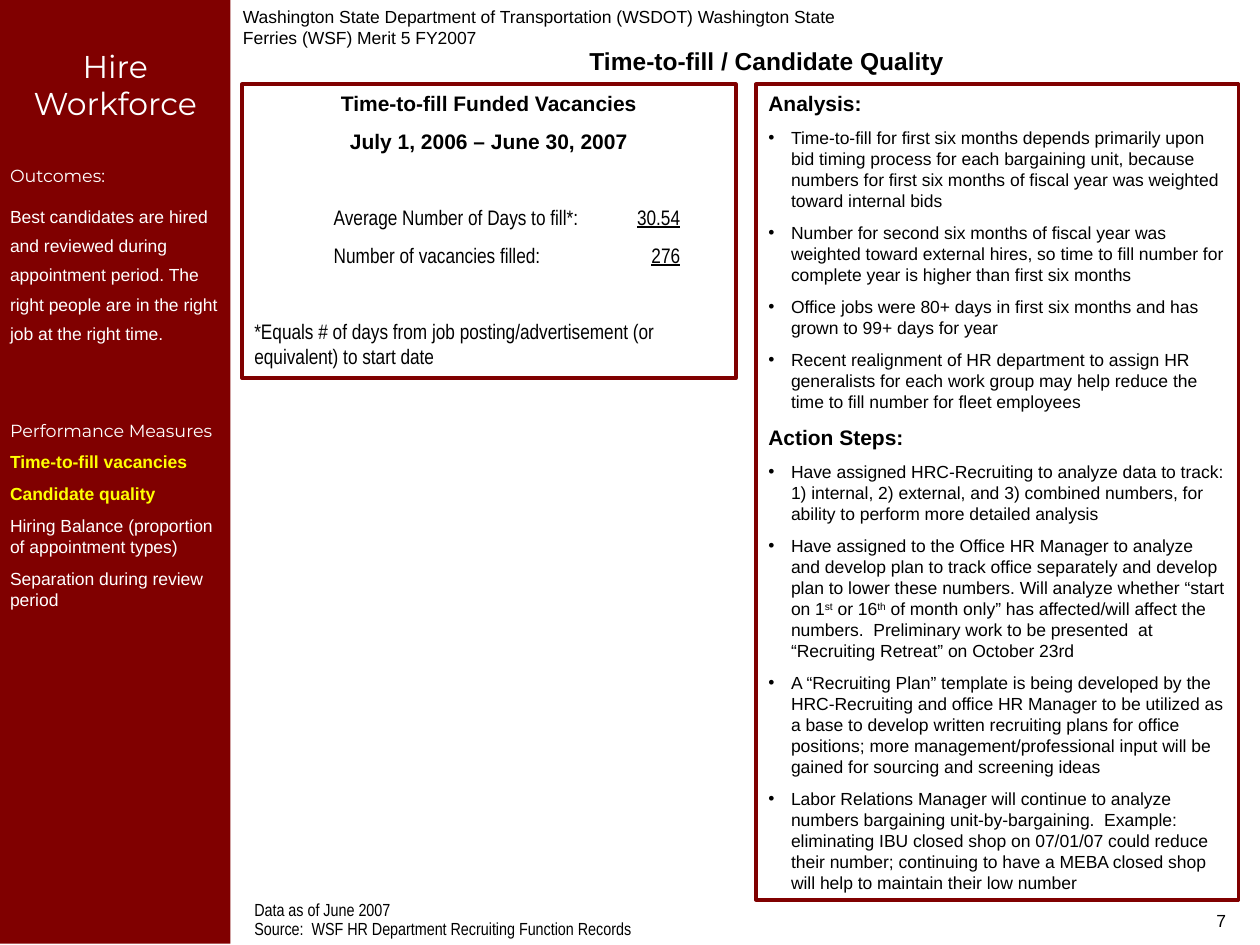
from lxml.etree import SubElement
from pptx import Presentation
from pptx.dml.color import RGBColor
from pptx.enum.shapes import MSO_SHAPE as Shape
from pptx.enum.text import MSO_ANCHOR as Anchor, PP_ALIGN as Align
from pptx.oxml.ns import qn
from pptx.util import Inches, Pt

MAROON, WHITE, YELLOW, BLACK = "800000", "FFFFFF", "FFFF00", "000000"
BODY = dict(name="Arial", size=Pt(10), bold=False)
HEADING = dict(name="Arial", size=Pt(12), bold=True)
NARROW = dict(name="Arial Narrow", size=Pt(12), bold=False)
DISPLAY = dict(name="Montserrat", size=Pt(10), bold=False)

ANALYSIS = [
    ["Time-to-fill for first six months depends primarily upon bid timing process for each "
     "bargaining unit, because numbers for first six months of fiscal year was weighted "
     "toward internal bids"],
    ["Number for second six months of fiscal year was weighted toward external hires, so time "
     "to fill number for complete year is higher than first six months"],
    ["Office jobs were 80+ days in first six months and has grown to 99+ days for year"],
    ["Recent realignment of HR department to assign HR generalists for each work group may "
     "help reduce the time to fill number for fleet employees"],
]
ACTIONS = [
    ["Have assigned HRC-Recruiting to analyze data to track: 1) internal, 2) external, and "
     "3) combined numbers, for ability to perform more detailed analysis"],
    ["Have assigned to the Office HR Manager to analyze and develop plan to track office "
     "separately and develop plan to lower these numbers. Will analyze whether “start on 1",
     "st", " or 16", "th",
     " of month only” has affected/will affect the numbers.  Preliminary work to be "
     "presented  at “Recruiting Retreat” on October 23rd"],
    ["A “Recruiting Plan” template is being developed by the HRC-Recruiting and office HR "
     "Manager to be utilized as a base to develop written recruiting plans for office "
     "positions; more management/professional input will be gained for sourcing and "
     "screening ideas"],
    ["Labor Relations Manager will continue to analyze numbers bargaining "
     "unit-by-bargaining.  Example: eliminating IBU closed shop on 07/01/07 could reduce "
     "their number; continuing to have a MEBA closed shop will help to maintain their low "
     "number"],
]


def rgb(value):
    """Turn a hex string into a colour."""
    return RGBColor.from_string(value)


def set_all(target, values):
    """Set every attribute named in a dict of format values."""
    for name, value in values.items():
        setattr(target, name, value)


def prepare_frame(shape, side=0.1, top=0.05):
    """Wrap the text of a shape from its top and return the text frame."""
    frame = shape.text_frame
    set_all(frame, dict(
        word_wrap=True, vertical_anchor=Anchor.TOP,
        margin_left=Inches(side), margin_right=Inches(side),
        margin_top=Inches(top), margin_bottom=Inches(0.05)))
    return frame


def add_text(page, box):
    """Add a text box and return its text frame."""
    return prepare_frame(page.shapes.add_textbox(*map(Inches, box)))


def add_panel(page, box, fill=None, line=None, **margins):
    """Add a rectangle and return its text frame."""
    shape = page.shapes.add_shape(Shape.RECTANGLE, *map(Inches, box))
    shape.shadow.inherit = False
    if fill:
        shape.fill.solid()
        shape.fill.fore_color.rgb = rgb(fill)
    else:
        shape.fill.background()
    if line:
        shape.line.color.rgb = rgb(line)
        shape.line.width = Pt(2.25)
    else:
        shape.line.fill.background()
    return prepare_frame(shape, **margins)


def add_span(para, text, style, color=BLACK, **extra):
    """Add one run of formatted text."""
    span = para.add_run()
    span.text = text
    set_all(span.font, {**style, **extra})
    span.font.color.rgb = rgb(color)
    return span


def add_para(frame, text, style, color=BLACK, before=0, align=Align.LEFT, spacing=1.0):
    """Add a paragraph, using the empty first one when there is no text yet."""
    first = not frame.text
    para = frame.paragraphs[0] if first else frame.add_paragraph()
    set_all(para, dict(alignment=align, line_spacing=spacing,
                       space_before=Pt(0 if first else before)))
    if text:
        add_span(para, text, style, color)
    return para


def add_bullet(frame, pieces):
    """Add a bulleted paragraph whose every second piece is raised."""
    para = add_para(frame, "", BODY, before=6.2)
    props = para._p.get_or_add_pPr()
    props.set("marL", str(Inches(0.18)))
    props.set("indent", str(-Inches(0.18)))
    SubElement(SubElement(props, qn("a:buClr")), qn("a:srgbClr")).set("val", BLACK)
    SubElement(props, qn("a:buFont")).set("typeface", "Arial")
    SubElement(props, qn("a:buChar")).set("char", "•")
    for index, piece in enumerate(pieces):
        span = add_span(para, piece, BODY)
        if index % 2:
            span._r.get_or_add_rPr().set("baseline", "30000")


def add_sidebar(page, box):
    """Draw the coloured column with outcomes and performance measures."""
    frame = add_panel(page, box, fill=MAROON, side=0.08, top=0.37)
    add_para(frame, "Hire Workforce", {**DISPLAY, "size": Pt(18)}, WHITE, align=Align.CENTER)
    add_para(frame, "Outcomes:", DISPLAY, WHITE, before=24.6)
    add_para(frame, "Best candidates are hired and reviewed during appointment period. "
             "The right people are in the right job at the right time.",
             BODY, WHITE, before=6.2, spacing=1.4)
    add_para(frame, "Performance Measures", DISPLAY, WHITE, before=43)
    for measure in ("Time-to-fill vacancies", "Candidate quality"):
        add_para(frame, measure, {**BODY, "bold": True}, YELLOW, before=6.2)
    for measure in ("Hiring Balance (proportion of appointment types)",
                    "Separation during review period"):
        add_para(frame, measure, BODY, WHITE, before=6.2)


def add_header(page, box):
    """Place the agency line and the slide title below it."""
    left, top, width, height = box
    agency = add_text(page, (left, top, 5, 0.25))
    add_para(agency, "Washington State Department of Transportation (WSDOT) Washington "
             "State Ferries (WSF) Merit 5 FY2007", BODY)
    title = add_text(page, (left + 2.67, top + height - 0.35, 3.17, 0.34))
    add_para(title, "Time-to-fill / Candidate Quality", {**HEADING, "size": Pt(14)},
             align=Align.CENTER)


def add_vacancies(page, box):
    """Draw the framed vacancy figures."""
    frame = add_panel(page, box, line=MAROON)
    for heading in ("Time-to-fill Funded Vacancies", "July 1, 2006 – June 30, 2007"):
        add_para(frame, heading, HEADING, before=7.5, align=Align.CENTER)
    figures = [("Average Number of Days to fill*:", "30.54", 28.8),
               ("Number of vacancies filled:", "276", 7.5)]
    for label, value, before in figures:
        para = add_para(frame, f"\t{label}\t", NARROW, before=before)
        tabs = SubElement(para._p.get_or_add_pPr(), qn("a:tabLst"))
        for position, side in ((0.63, "l"), (3.38, "r")):
            tab = SubElement(tabs, qn("a:tab"))
            tab.set("pos", str(Inches(position)))
            tab.set("algn", side)
        add_span(para, value, NARROW, underline=True)
    add_para(frame, "*Equals # of days from job posting/advertisement (or equivalent) "
             "to start date", NARROW, before=28.8)


def add_findings(page, box):
    """Draw the framed analysis and action steps."""
    frame = add_panel(page, box, line=MAROON)
    for heading, bullets in (("Analysis:", ANALYSIS), ("Action Steps:", ACTIONS)):
        add_para(frame, heading, HEADING, before=7.5)
        for pieces in bullets:
            add_bullet(frame, pieces)


def add_footer(page, box):
    """Place the data source on the left and the page number on the right."""
    left, top, width, height = box
    source = add_text(page, (left, top, 3.25, height))
    for line in ("Data as of June 2007",
                 "Source:  WSF HR Department Recruiting Function Records"):
        add_para(source, line, {**NARROW, "size": Pt(10)}, before=2.5, spacing=0.7)
    number = add_text(page, (left + width - 2.33, top + 0.04, 2.33, 0.33))
    add_para(number, "7", BODY, align=Align.RIGHT)


def main():
    """Build the slide and save it."""
    deck = Presentation()
    deck.slide_width, deck.slide_height = Inches(10), Inches(7.5)
    page = deck.slides.add_slide(deck.slide_layouts[6])
    add_sidebar(page, (0, 0, 1.83, 7.49))
    add_header(page, (1.83, 0, 8.17, 0.67))
    add_vacancies(page, (1.92, 0.67, 3.92, 2.33))
    add_findings(page, (6, 0.67, 3.83, 6.47))
    add_footer(page, (1.92, 7.13, 7.91, 0.37))
    deck.save("out.pptx")


if __name__ == "__main__":
    main()
